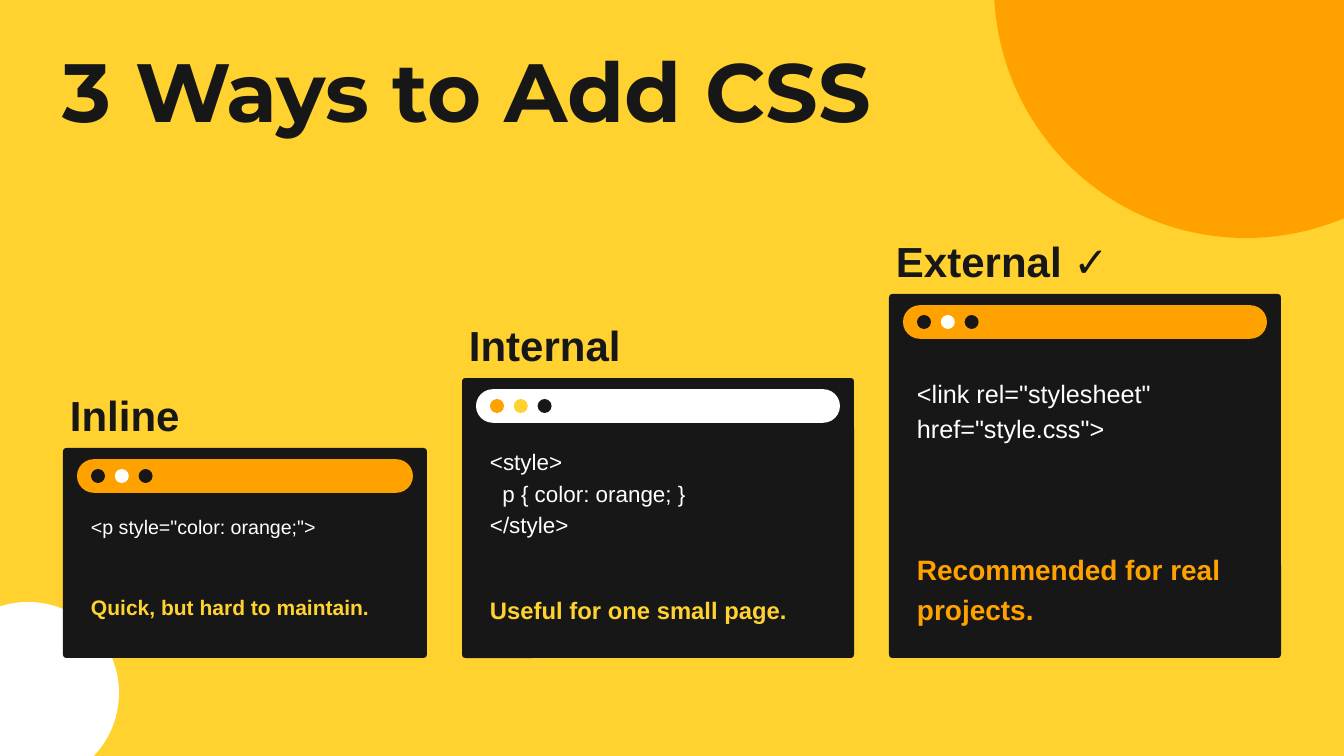
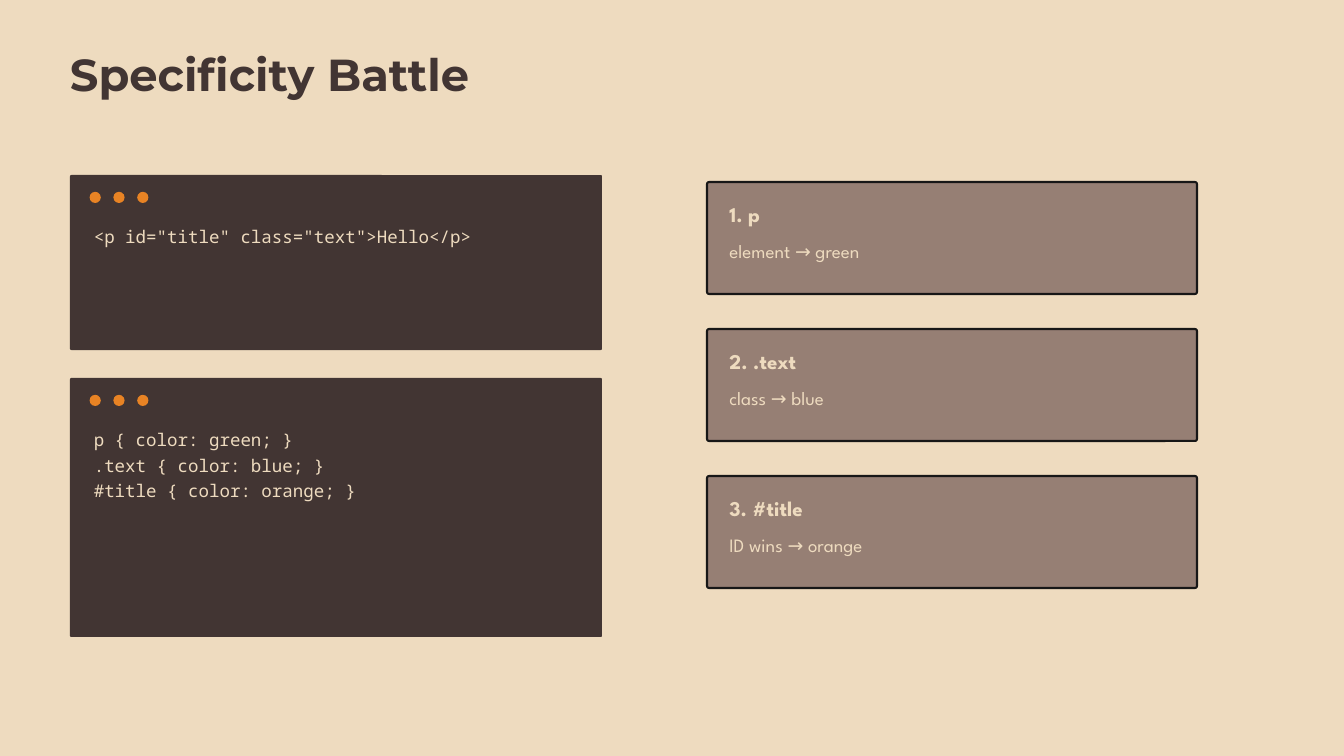
from pptx import Presentation
from pptx.dml.color import RGBColor
from pptx.enum.shapes import MSO_SHAPE
from pptx.enum.text import MSO_AUTO_SIZE
from pptx.util import Emu, Pt

PX = 9525
YELLOW = RGBColor(0xFF, 0xD2, 0x30)
ORANGE = RGBColor(0xFF, 0xA2, 0x00)
WHITE = RGBColor(0xFF, 0xFF, 0xFF)
BLACK = RGBColor(0x17, 0x17, 0x17)
SAND = RGBColor(0xEE, 0xDB, 0xBF)
BROWN = RGBColor(0x42, 0x35, 0x33)
TAUPE = RGBColor(0x96, 0x7F, 0x74)
RUST = RGBColor(0xE8, 0x83, 0x24)

TITLE_FONT = "Montserrat"
BODY_FONT = "Arial"
CODE_FONT = "Noto Sans Mono"
CARD_FONT = "League Spartan"
DOT_PITCH = 34


def px(*lengths):
    return [Emu(n * PX) for n in lengths]


class Deck:
    def __init__(self):
        self.prs = Presentation()
        self.prs.slide_width, self.prs.slide_height = px(1920, 1080)
        self.s = None

    def slide(self, background):
        self.s = self.prs.slides.add_slide(self.prs.slide_layouts[6])
        fill = self.s.background.fill
        fill.solid()
        fill.fore_color.rgb = background

    def shape(self, kind, x, y, w, h, color, border=None):
        sp = self.s.shapes.add_shape(kind, *px(x, y, w, h))
        sp.shadow.inherit = False
        sp.fill.solid()
        sp.fill.fore_color.rgb = color
        if border:
            sp.line.color.rgb = border
            sp.line.width = Pt(2.25)
        else:
            sp.line.fill.background()
        return sp

    def circle(self, x, y, size, color):
        self.shape(MSO_SHAPE.OVAL, x, y, size, size, color)

    def box(self, x, y, w, h, color, radius, border=None):
        sp = self.shape(MSO_SHAPE.ROUNDED_RECTANGLE, x, y, w, h, color, border)
        sp.adjustments[0] = radius / min(w, h)

    def dots(self, x, y, size, colors):
        for i, color in enumerate(colors):
            self.circle(x + i * DOT_PITCH, y, size, color)

    def text(self, text, x, y, w, h, *, size, leading, color,
             font=BODY_FONT, bold=False):
        tf = self.s.shapes.add_textbox(*px(x, y, w, h)).text_frame
        tf.margin_left = tf.margin_top = tf.margin_right = tf.margin_bottom = 0
        tf.word_wrap = True
        tf.auto_size = MSO_AUTO_SIZE.SHAPE_TO_FIT_TEXT
        for i, line in enumerate(text.split("\n")):
            p = tf.add_paragraph() if i else tf.paragraphs[0]
            p.line_spacing = Pt(leading)
            r = p.add_run()
            r.text = line
            r.font.name = font
            r.font.size = Pt(size)
            r.font.bold = bold
            r.font.color.rgb = color

    def title(self, text, x, y, w, h, **style):
        self.text(text, x, y, w, h, font=TITLE_FONT, bold=True, **style)

    def browser(self, x, y, w, h, label, bar, dots, code, note):
        self.box(x, y, w, h, BLACK, 5)
        self.box(x + 20, y + 16, w - 40, 48, bar, 24)
        self.dots(x + 40, y + 30, 20, dots)
        self.text(label, x + 10, y - 96, w - 40, 82,
                  size=45, leading=63, color=BLACK, bold=True)
        for (text, top, height, size, color), bold in ((code, False), (note, True)):
            self.text(text, x + 40, top, w - 80, height,
                      size=size, leading=size * 1.4, color=color, bold=bold)

    def code_panel(self, x, y, w, h, code):
        self.box(x, y, w, h, BROWN, 2)
        self.dots(x + 28, y + 24, 16, [RUST] * 3)
        self.text(code, x + 34, y + 67, w - 68, 35 * len(code.split("\n")),
                  size=18.75, leading=27.2, color=SAND, font=CODE_FONT)

    def rule_card(self, x, y, w, h, selector, result):
        self.box(x, y, w, h, TAUPE, 3, BLACK)
        self.text(selector, x + 32, y + 26, w - 64, 37, size=22.5,
                  leading=28.1, color=SAND, font=CARD_FONT, bold=True)
        self.text(result, x + 32, y + 79, w - 64, 35, size=20.25,
                  leading=27.3, color=SAND, font=CARD_FONT)


def ways_slide(deck):
    deck.slide(YELLOW)
    deck.circle(1420, -380, 720, ORANGE)
    deck.circle(-90, 860, 260, WHITE)
    dark_dots = (BLACK, WHITE, BLACK)
    browsers = [
        (520, 300, "Inline", ORANGE, dark_dots,
         ('<p style="color: orange;">', 730, 38, 21, WHITE),
         ("Quick, but hard to maintain.", 844, 42, 22.5, YELLOW)),
        (560, 400, "Internal", WHITE, (ORANGE, YELLOW, BLACK),
         ("<style>\n  p { color: orange; }\n</style>", 634, 132, 24, WHITE),
         ("Useful for one small page.", 844, 46, 25.5, YELLOW)),
        (560, 520, "External ✓", ORANGE, dark_dots,
         ('<link rel="stylesheet" href="style.css">', 533, 100, 27, WHITE),
         ("Recommended for real projects.", 782, 112, 30, ORANGE)),
    ]
    x, bottom, gap = 90, 940, 50
    for w, h, *content in browsers:
        deck.browser(x, bottom - h, w, h, *content)
        x += w + gap
    deck.title("3 Ways to Add CSS", 90, 71, 1300, 130,
               size=88.5, leading=95.6, color=BLACK)


def specificity_slide(deck):
    deck.slide(SAND)
    deck.title("Specificity Battle", 100, 75, 1720, 70,
               size=48, leading=51.8, color=BROWN)
    deck.code_panel(100, 250, 760, 250, '<p id="title" class="text">Hello</p>')
    deck.code_panel(100, 540, 760, 370,
                    "p { color: green; }\n"
                    ".text { color: blue; }\n"
                    "#title { color: orange; }")
    rules = [
        ("1. p", "element → green"),
        ("2. .text", "class → blue"),
        ("3. #title", "ID wins → orange"),
    ]
    for i, (selector, result) in enumerate(rules):
        deck.rule_card(1010, 260 + i * 210, 700, 160, selector, result)


def main():
    deck = Deck()
    ways_slide(deck)
    specificity_slide(deck)
    deck.prs.save("out.pptx")


if __name__ == "__main__":
    main()
